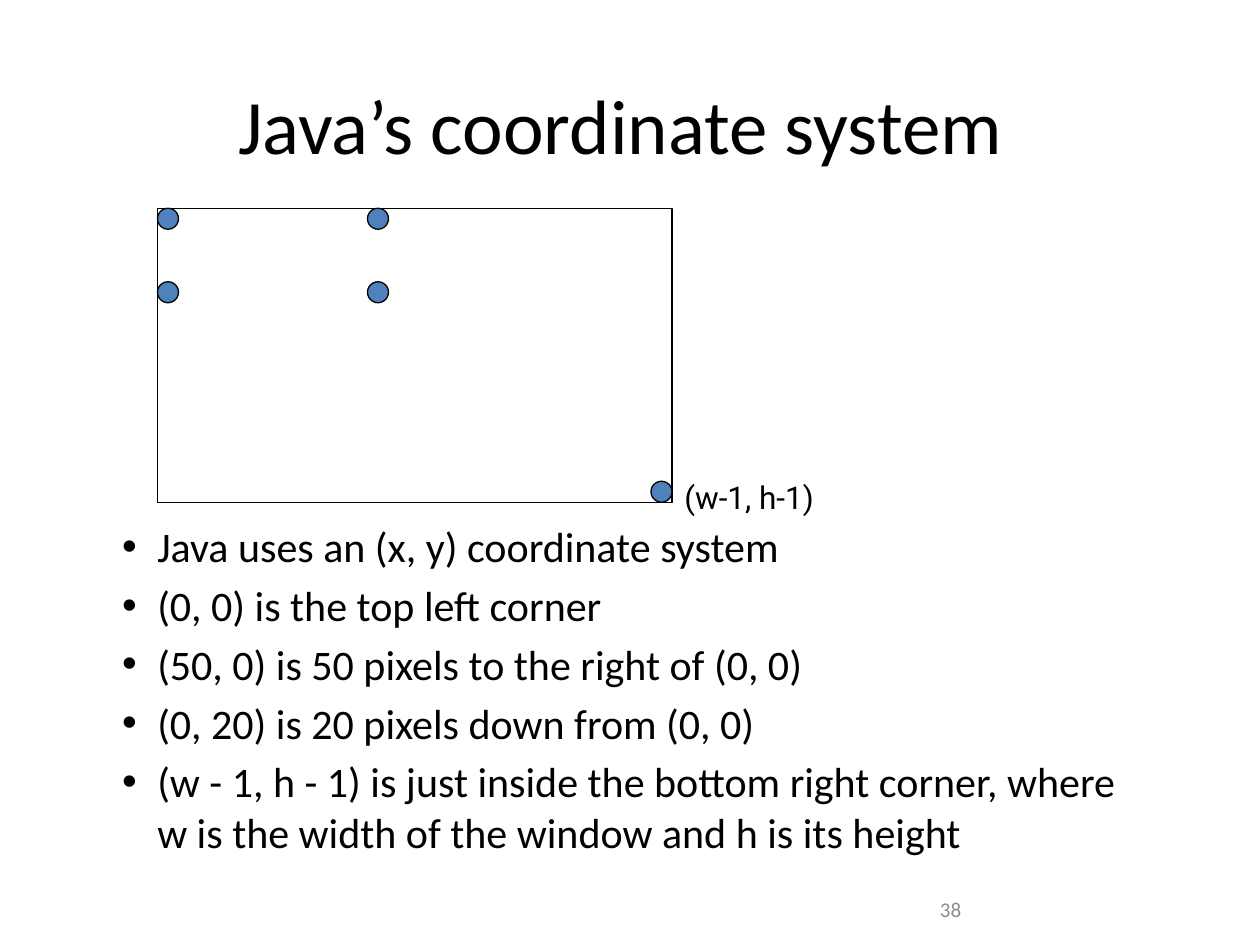
from dataclasses import dataclass
from itertools import product

from lxml.etree import SubElement
from pptx import Presentation
from pptx.dml.color import RGBColor
from pptx.enum.shapes import MSO_SHAPE
from pptx.enum.text import MSO_ANCHOR, PP_ALIGN
from pptx.oxml.ns import qn
from pptx.slide import Slide
from pptx.util import Pt

BLACK = RGBColor(0x00, 0x00, 0x00)
WHITE = RGBColor(0xFF, 0xFF, 0xFF)
GRAY = RGBColor(0x8C, 0x8C, 0x8C)
BLUE = RGBColor(0x4F, 0x81, 0xBD)

WINDOW_LEFT, WINDOW_TOP, WINDOW_WIDTH, WINDOW_HEIGHT = 90, 119, 294, 168
DOT_SIZE = 12
STEP_RIGHT, STEP_DOWN = 120, 42

FACTS = [
    "Java uses an (x, y) coordinate system",
    "(0, 0) is the top left corner",
    "(50, 0) is 50 pixels to the right of (0, 0)",
    "(0, 20) is 20 pixels down from (0, 0)",
    "(w - 1, h - 1) is just inside the bottom right corner, "
    "where w is the width of the window and h is its height",
]


@dataclass
class SlideWriter:
    page: Slide
    font: str = "Calibri"
    line_width: float = 0.75
    bullet_indent: float = 20

    def text(self, lines, left, top, width, height, size, color=BLACK, font=None,
             align=PP_ALIGN.LEFT, anchor=MSO_ANCHOR.TOP):
        box = self.page.shapes.add_textbox(Pt(left), Pt(top), Pt(width), Pt(height))
        frame = box.text_frame
        frame.word_wrap = True
        frame.vertical_anchor = anchor
        frame.text = "\n".join(lines)
        for para in frame.paragraphs:
            para.alignment = align
            para.font.name = font or self.font
            para.font.size = Pt(size)
            para.font.color.rgb = color
        return box

    def bullets(self, lines, left, top, width, height, size):
        box = self.text(lines, left, top, width, height, size)
        for para in box.text_frame.paragraphs:
            para.space_before = Pt(size * 0.2)
            properties = para._p.get_or_add_pPr()
            properties.set("marL", str(Pt(28.8)))
            properties.set("indent", str(-Pt(self.bullet_indent)))
            SubElement(properties, qn("a:buFont")).set("typeface", "Arial")
            SubElement(properties, qn("a:buChar")).set("char", "•")

    def shape(self, kind, left, top, width, height, fill):
        shape = self.page.shapes.add_shape(kind, Pt(left), Pt(top), Pt(width), Pt(height))
        shape.shadow.inherit = False
        shape.fill.solid()
        shape.fill.fore_color.rgb = fill
        shape.line.color.rgb = BLACK
        shape.line.width = Pt(self.line_width)

    def dot(self, left, top):
        self.shape(MSO_SHAPE.OVAL, left, top, DOT_SIZE, DOT_SIZE, BLUE)


def main():
    deck = Presentation()
    deck.slide_width, deck.slide_height = Pt(720), Pt(540)
    writer = SlideWriter(deck.slides.add_slide(deck.slide_layouts[6]))

    writer.text(["Java’s coordinate system"], 22.5, 34, 664, 73.5, 44,
                align=PP_ALIGN.CENTER, anchor=MSO_ANCHOR.MIDDLE)
    writer.bullets(FACTS, 54, 294, 612, 216, 24)
    writer.text(["38"], 530, 505, 151, 28.8, 12, GRAY, anchor=MSO_ANCHOR.MIDDLE)

    writer.shape(MSO_SHAPE.RECTANGLE, WINDOW_LEFT, WINDOW_TOP,
                 WINDOW_WIDTH, WINDOW_HEIGHT, WHITE)
    for row, column in product(range(2), repeat=2):
        writer.dot(WINDOW_LEFT + column * STEP_RIGHT, WINDOW_TOP + row * STEP_DOWN)
    window_right = WINDOW_LEFT + WINDOW_WIDTH
    window_bottom = WINDOW_TOP + WINDOW_HEIGHT
    writer.dot(window_right - DOT_SIZE, window_bottom - DOT_SIZE)
    writer.text(["(w-1, h-1)"], window_right, 269.5, 114, 28.8, 18, font="Roboto")

    deck.save("out.pptx")


if __name__ == "__main__":
    main()
